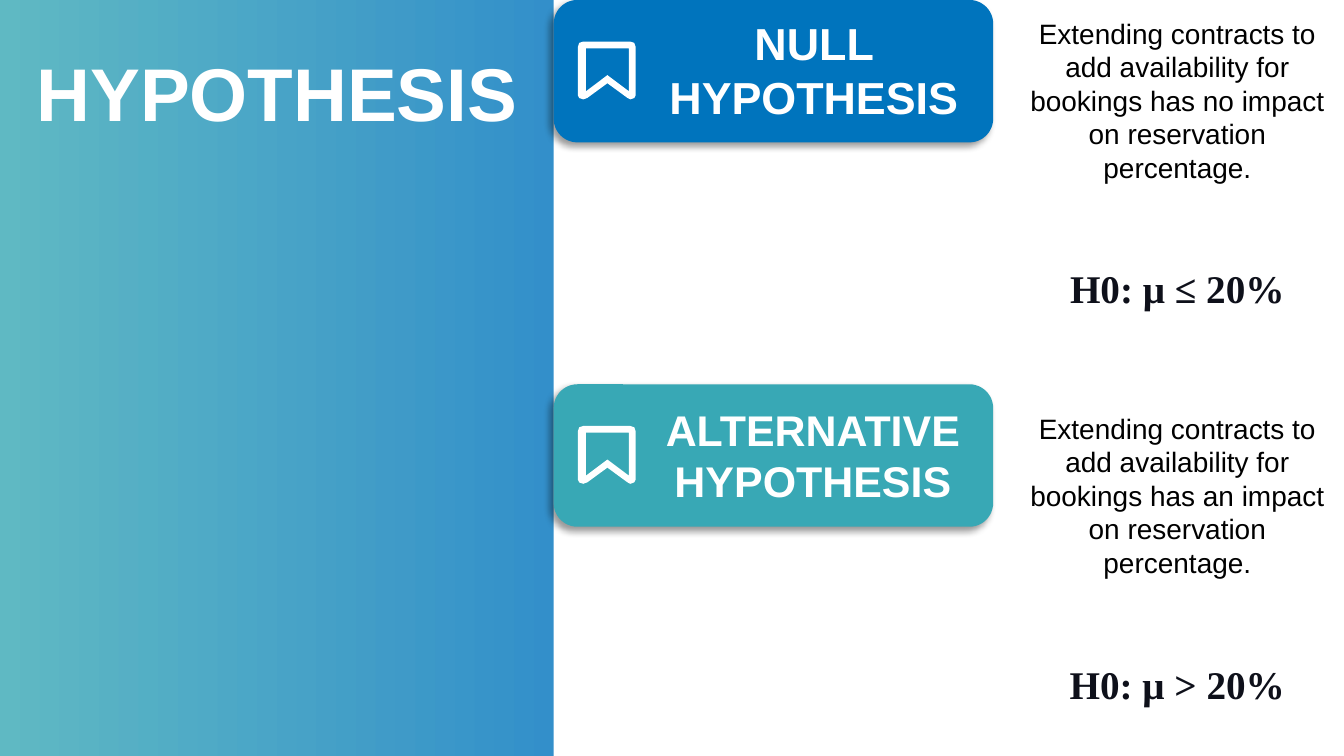
from lxml import etree
from pptx import Presentation, util as u
from pptx.dml.color import RGBColor
from pptx.enum import shapes, text
from pptx.oxml.ns import qn

COLORS = {"blue": "0074BD", "teal": "38A8B5", "white": "FFFFFF",
          "black": "000000", "ink": "0E101A"}

# Bookmark outline and its opening, in hundredths of an inch
BOOKMARK = [(39, 0), (42, 1), (43, 4), (43, 40), (42, 42), (39, 43), (37, 42), (22, 31),
            (7, 42), (4, 43), (1, 42), (0, 40), (0, 4), (1, 1), (4, 0)]
OPENING = [(6, 5), (6, 37), (22, 25), (38, 37), (38, 5)]


def rgb(name):
    return RGBColor.from_string(COLORS[name])


def inches(*lengths):
    return [u.Inches(length) for length in lengths]


class SlideBuilder:
    """Holds the style and the current slide."""

    font = "Arial"

    def __init__(self, deck):
        self.page = deck.slides.add_slide(deck.slide_layouts[5])

    def style(self, para, size, color, bold=False, font=None, spacing=1.0):
        para.alignment = text.PP_ALIGN.CENTER
        para.line_spacing = spacing
        para.font.name = font or self.font
        para.font.size = u.Pt(size)
        para.font.bold = bold
        para.font.color.rgb = rgb(color)

    def panel(self, width, height):
        panel = self.page.shapes.add_shape(shapes.MSO_SHAPE.RECTANGLE, 0, 0, width, height)
        panel.shadow.inherit = False
        panel.line.fill.background()
        panel.fill.gradient()
        panel.fill.gradient_angle = 180
        for stop, name in zip(panel.fill.gradient_stops, ("blue", "teal")):
            stop.color.rgb = rgb(name)
        for color in panel.fill._xPr.iter(qn("a:srgbClr")):
            etree.SubElement(color, qn("a:alpha"), val="80000")
        return panel

    def title(self, words, panel, left, top, width, height):
        title = self.page.shapes.title
        title.left, title.top, title.width, title.height = inches(left, top, width, height)
        frame = title.text_frame
        frame.text = words
        frame.word_wrap = True
        frame.auto_size = text.MSO_AUTO_SIZE.NONE
        frame.vertical_anchor = text.MSO_ANCHOR.TOP
        self.style(frame.paragraphs[0], 40, "white", bold=True)
        panel._element.addnext(title._element)  # in front of the panel

    def banner(self, left, top, width, height, color):
        banner = self.page.shapes.add_shape(
            shapes.MSO_SHAPE.ROUNDED_RECTANGLE, *inches(left, top, width, height))
        banner.shadow.inherit = False
        banner.fill.solid()
        banner.fill.fore_color.rgb = rgb(color)
        banner.line.fill.background()
        effects = banner._element.spPr.find(qn("a:effectLst"))
        shadow = etree.SubElement(effects, qn("a:outerShdw"), blurRad=str(u.Pt(4)),
                                  dist=str(u.Pt(3)), dir="8100000", rotWithShape="0")
        tint = etree.SubElement(shadow, qn("a:srgbClr"), val=COLORS["black"])
        etree.SubElement(tint, qn("a:alpha"), val="40000")

    def bookmark(self, left, top):
        builder = self.page.shapes.build_freeform(*BOOKMARK[0], scale=u.Inches(0.01))
        builder.add_line_segments(BOOKMARK[1:], close=True)
        builder.move_to(*OPENING[0])
        builder.add_line_segments(OPENING[1:], close=True)
        icon = builder.convert_to_shape(*inches(left, top))
        icon.shadow.inherit = False
        icon.fill.solid()
        icon.fill.fore_color.rgb = rgb("white")
        icon.line.fill.background()

    def text_box(self, left, top, width, height, words):
        box = self.page.shapes.add_textbox(*inches(left, top, width, height))
        frame = box.text_frame
        frame.word_wrap = True
        frame.auto_size = text.MSO_AUTO_SIZE.SHAPE_TO_FIT_TEXT
        frame.margin_left = frame.margin_right = u.Inches(0.1)
        frame.margin_top = frame.margin_bottom = u.Inches(0.1)
        frame.text = words
        return frame

    def label(self, left, top, width, height, words, size):
        frame = self.text_box(left, top, width, height, words)
        self.style(frame.paragraphs[0], size, "white", bold=True)

    def statement(self, left, top, width, height, words, formula):
        frame = self.text_box(left, top, width, height, words)
        self.style(frame.paragraphs[0], 15, "black")
        para = frame.add_paragraph()
        para.text = formula
        para.space_before = u.Pt(18)
        self.style(para, 21, "ink", bold=True, font="Times New Roman", spacing=2.0)


def main():
    # Widescreen, 16 to 9
    deck = Presentation()
    deck.slide_width = u.Inches(10)
    deck.slide_height = deck.slide_width * 9 // 16
    slide = SlideBuilder(deck)

    # Left panel with the title
    panel = slide.panel(u.Inches(4.12), deck.slide_height)
    slide.title("HYPOTHESIS", panel, 0, 0.3, 4.12, 1.45)

    # Banner top, colour, label place, label and size, statement top, impact, formula
    hypotheses = [
        (0, "blue", (4.72, 0.02, 2.67, 1.01), "NULL HYPOTHESIS", 24,
         0.02, "no", "H0: μ ≤ 20%"),
        (2.86, "teal", (4.75, 2.9, 2.6, 0.98), "ALTERNATIVE HYPOTHESIS", 23,
         2.96, "an", "H0: μ > 20%"),
    ]
    for top, color, place, words, size, statement_top, impact, formula in hypotheses:
        slide.banner(4.12, top, 3.27, 1.06, color)
        slide.bookmark(4.3, top + 0.31)
        slide.label(*place, words, size)
        slide.statement(7.52, statement_top, 2.48, 2.07,
                        "Extending contracts to add availability for bookings "
                        f"has {impact} impact on reservation percentage.", formula)

    deck.save("out.pptx")


if __name__ == "__main__":
    main()
